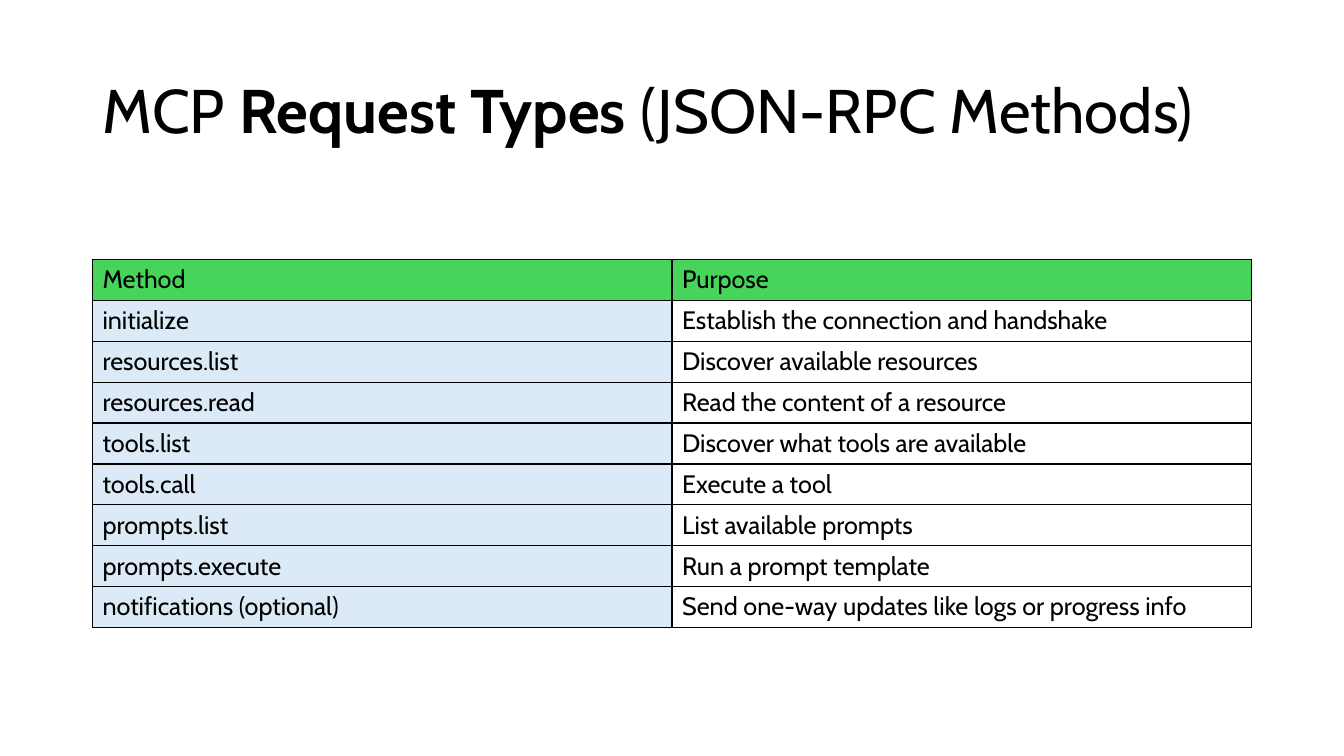
"""Build a slide with a table of MCP request types and their purposes."""

from lxml.etree import SubElement
from pptx import Presentation
from pptx.dml.color import RGBColor
from pptx.enum.text import MSO_ANCHOR
from pptx.oxml.ns import qn
from pptx.util import Cm, Pt

TITLE_RUNS = [("MCP ", False), ("Request Types", True), (" (JSON-RPC Methods)", False)]
HEADER = ("Method", "Purpose")
METHODS = [
    ("initialize", "Establish the connection and handshake"),
    ("resources.list", "Discover available resources"),
    ("resources.read", "Read the content of a resource"),
    ("tools.list", "Discover what tools are available"),
    ("tools.call", "Execute a tool"),
    ("prompts.list", "List available prompts"),
    ("prompts.execute", "Run a prompt template"),
    ("notifications (optional)", "Send one-way updates like logs or progress info"),
]

FONT = "Cabin"
BLACK = RGBColor(0x00, 0x00, 0x00)
GREEN = RGBColor(0x47, 0xD4, 0x5A)
PALE_BLUE = RGBColor(0xDC, 0xEA, 0xF7)

LEFT = Cm(2.33)
WIDTH = Cm(29.21)
TITLE_TOP, TITLE_HEIGHT = Cm(1.01), Cm(3.68)
TABLE_TOP, ROW_HEIGHT = Cm(6.54), Cm(1.03)
BORDER_WIDTH = Pt(1)


def add_text(paragraph, text, size=18, bold=False, color=BLACK):
    run = paragraph.add_run()
    run.text = text
    run.font.name = FONT
    run.font.size = Pt(size)
    run.font.bold = bold
    run.font.color.rgb = color


def add_borders(cell):
    properties = cell._tc.get_or_add_tcPr()
    for side in ("a:lnL", "a:lnR", "a:lnT", "a:lnB"):
        line = SubElement(properties, qn(side), w=str(BORDER_WIDTH))
        fill = SubElement(line, qn("a:solidFill"))
        SubElement(fill, qn("a:srgbClr"), val=str(BLACK))


def add_title(slide):
    title = slide.shapes.add_textbox(LEFT, TITLE_TOP, WIDTH, TITLE_HEIGHT)
    frame = title.text_frame
    frame.word_wrap = True
    frame.vertical_anchor = MSO_ANCHOR.MIDDLE
    paragraph = frame.paragraphs[0]
    paragraph.line_spacing = 0.9
    for text, bold in TITLE_RUNS:
        add_text(paragraph, text, size=44, bold=bold)


def add_method_table(slide):
    rows = [HEADER, *METHODS]
    table = slide.shapes.add_table(
        len(rows), len(HEADER), LEFT, TABLE_TOP, WIDTH, ROW_HEIGHT * len(rows)
    ).table
    table.first_row = False
    table.horz_banding = False
    for row_index, row in enumerate(rows):
        for column_index, text in enumerate(row):
            cell = table.cell(row_index, column_index)
            cell.vertical_anchor = MSO_ANCHOR.MIDDLE
            add_text(cell.text_frame.paragraphs[0], text)
            add_borders(cell)
            if row_index and column_index:
                cell.fill.background()
            else:
                cell.fill.solid()
                cell.fill.fore_color.rgb = PALE_BLUE if row_index else GREEN


def main():
    presentation = Presentation()
    presentation.slide_width = Cm(33.87)
    presentation.slide_height = Cm(19.05)
    slide = presentation.slides.add_slide(presentation.slide_layouts[6])
    add_title(slide)
    add_method_table(slide)
    presentation.save("out.pptx")


if __name__ == "__main__":
    main()
